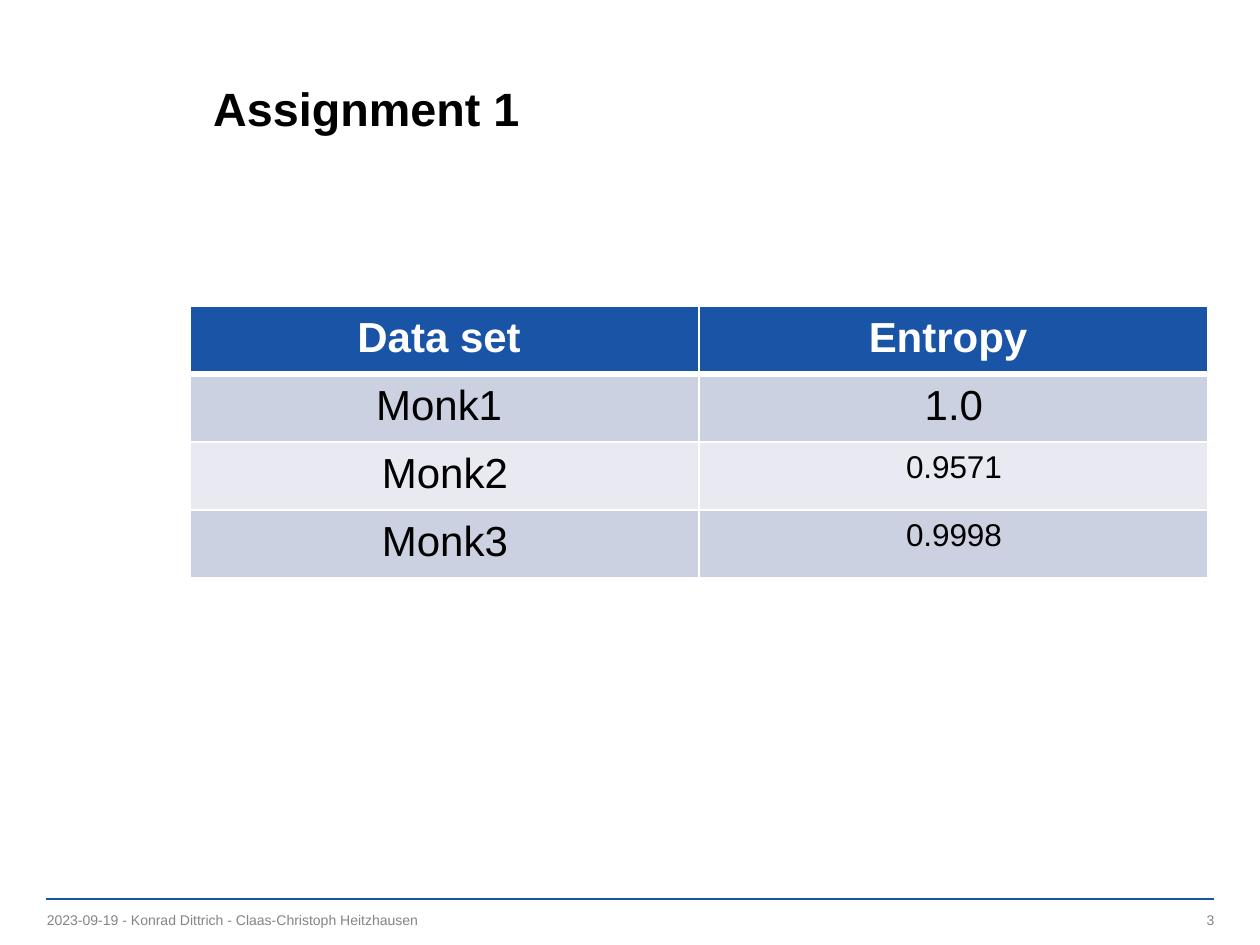
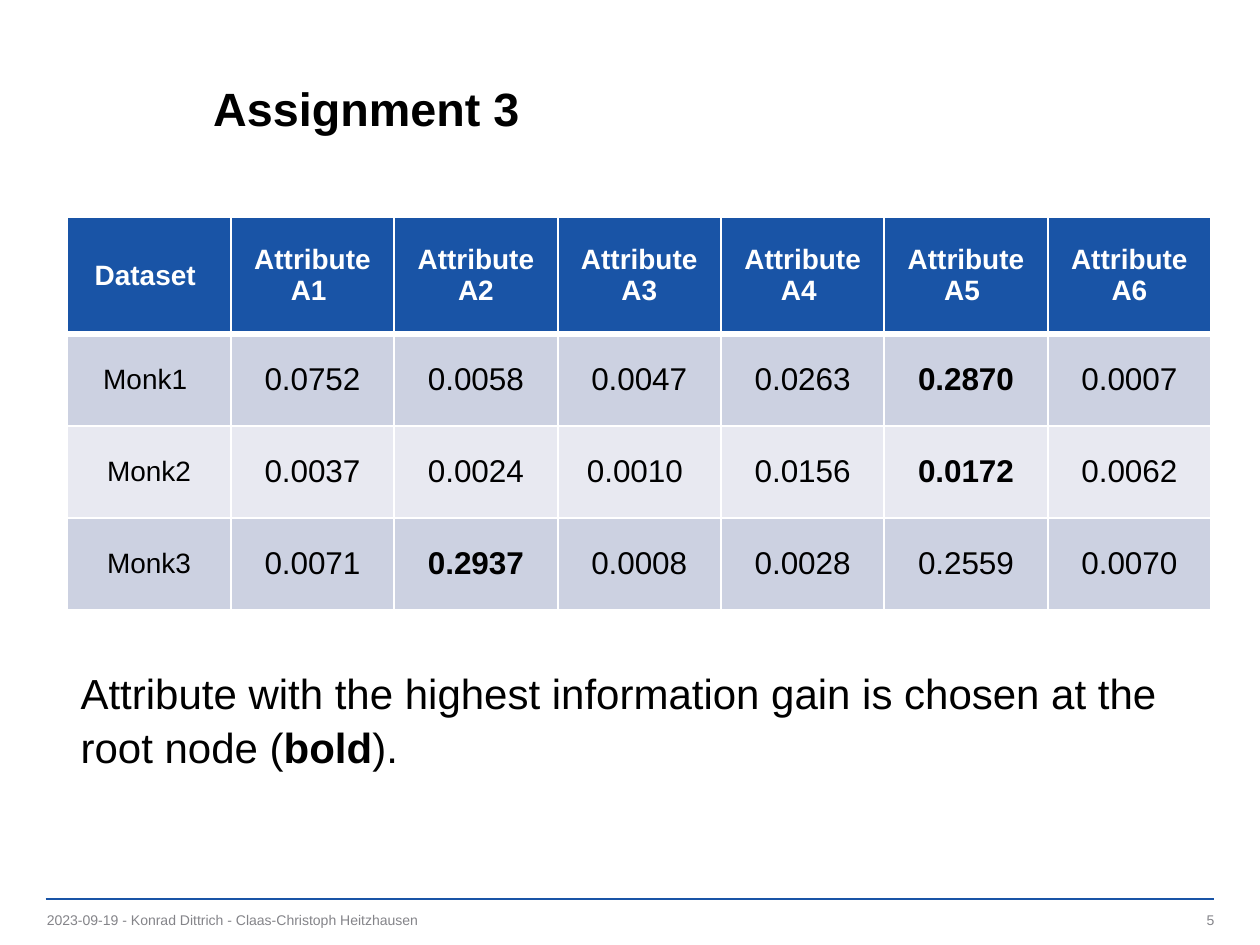
from dataclasses import dataclass

from lxml.etree import SubElement
from pptx import Presentation
from pptx.dml.color import RGBColor
from pptx.enum.shapes import MSO_CONNECTOR
from pptx.enum.text import MSO_ANCHOR, MSO_AUTO_SIZE, PP_ALIGN
from pptx.oxml import parse_xml
from pptx.oxml.ns import nsdecls, qn
from pptx.util import Cm, Pt


@dataclass(frozen=True)
class Theme:
    """Colours, font and type sizes of the deck."""
    font: str = "Arial"
    blue: str = "1954A6"
    black: str = "000000"
    white: str = "FFFFFF"
    grey: str = "848489"
    bands: tuple = ("CCD1E1", "E8E9F1")
    title: float = 20
    body: float = 18
    value: float = 13.5
    label: float = 12
    foot: float = 6


@dataclass(frozen=True)
class Run:
    """A piece of text with one size and weight."""
    text: str
    size: float
    bold: bool = False


THEME = Theme()
FOOTER = "2023-09-19 - Konrad Dittrich - Claas-Christoph Heitzhausen"


def add_runs(para, runs, color, align=PP_ALIGN.LEFT):
    """Fill a paragraph with formatted runs."""
    para.alignment = align
    for item in runs:
        run = para.add_run()
        run.text = item.text
        font = run.font
        font.name, font.size, font.bold = THEME.font, Pt(item.size), item.bold
        font.color.rgb = RGBColor.from_string(color)


def add_text(slide, box, runs, color, align=PP_ALIGN.LEFT):
    """Add a wrapped text box and return its frame."""
    frame = slide.shapes.add_textbox(*map(Cm, box)).text_frame
    frame.word_wrap = True
    add_runs(frame.paragraphs[0], runs, color, align)
    return frame


def add_foot(slide, box, text, align):
    """Add one small footer text without insets."""
    frame = add_text(slide, box, [Run(text, THEME.foot)], THEME.grey, align)
    frame.vertical_anchor = MSO_ANCHOR.MIDDLE
    frame.margin_left = frame.margin_right = 0
    frame.margin_top = frame.margin_bottom = 0


def add_rule(slide):
    """Draw the thin line above the footer."""
    rule = slide.shapes.add_connector(
        MSO_CONNECTOR.STRAIGHT, Cm(0.69), Cm(13.59), Cm(18.36), Cm(13.59))
    rule.line.color.rgb = RGBColor.from_string(THEME.blue)
    rule.line.width = Pt(1)
    SubElement(rule.element.spPr, qn("a:effectLst"))


def add_page(deck, title, number):
    """Add a slide with the shared title, rule and footer."""
    slide = deck.slides.add_slide(deck.slide_layouts[5])
    add_rule(slide)
    head = slide.shapes.title
    head.left, head.top, head.width, head.height = map(
        Cm, (2.97, 0.71, 15.39, 1.88))
    frame = head.text_frame
    frame.auto_size = MSO_AUTO_SIZE.NONE
    frame.vertical_anchor = MSO_ANCHOR.MIDDLE
    para = frame.paragraphs[0]
    para.line_spacing = Pt(22.5)
    add_runs(para, [Run(title, THEME.title, True)], THEME.black)
    add_foot(slide, (0.71, 13.74, 6, 0.33), FOOTER, PP_ALIGN.LEFT)
    add_foot(slide, (14.07, 13.74, 4.29, 0.33), str(number), PP_ALIGN.RIGHT)
    return slide


def set_edges(cell, top, bottom):
    """Give a cell white borders of the stated widths in points."""
    props = cell._tc.get_or_add_tcPr()
    widths = {"lnL": 1, "lnR": 1, "lnT": top, "lnB": bottom}
    for place, (tag, width) in enumerate(widths.items()):
        props.insert(place, parse_xml(
            f'<a:{tag} {nsdecls("a")} w="{Pt(width)}"><a:solidFill>'
            f'<a:srgbClr val="{THEME.white}"/></a:solidFill></a:{tag}>'))


def add_grid(slide, box, rows, heights, anchor):
    """Add a table with a blue header and banded rows of runs."""
    table = slide.shapes.add_table(
        len(rows), len(rows[0]), *map(Cm, box)).table
    for line, height in zip(table.rows, heights):
        line.height = Cm(height)
    for r, row in enumerate(rows):
        fill = THEME.bands[(r - 1) % 2] if r else THEME.blue
        color = THEME.black if r else THEME.white
        for c, run in enumerate(row):
            cell = table.cell(r, c)
            cell.vertical_anchor = anchor
            cell.fill.solid()
            cell.fill.fore_color.rgb = RGBColor.from_string(fill)
            set_edges(cell, 3 if r == 1 else 1, 1 if r else 3)
            add_runs(cell.text_frame.paragraphs[0], [run], color,
                     PP_ALIGN.CENTER)


def add_first(deck):
    """Build the entropy slide."""
    slide = add_page(deck, "Assignment 1", 3)
    big, small = THEME.body, THEME.value
    rows = [
        [Run("Data set ", big, True), Run("Entropy ", big, True)],
        [Run("Monk1 ", big), Run("1.0", big)],
        [Run("Monk2", big), Run("0.9571", small)],
        [Run("Monk3", big), Run("0.9998", small)],
    ]
    add_grid(slide, (2.88, 4.62, 15.39, 4.12), rows, [1.03] * 4,
             MSO_ANCHOR.TOP)


def add_third(deck):
    """Build the information gain slide."""
    slide = add_page(deck, "Assignment 3", 5)
    heads = ["Dataset ", "Attribute A1 ", "Attribute A2", "Attribute A3",
             "Attribute A4 ", "Attribute A5 ", "Attribute A6"]
    gains = {
        "Monk1 ": ["0.0752", "0.0058", "0.0047", "0.0263", "0.2870", "0.0007"],
        "Monk2": ["0.0037", "0.0024", "0.0010 ", "0.0156", "0.0172", "0.0062"],
        "Monk3": ["0.0071", "0.2937", "0.0008", "0.0028", "0.2559", "0.0070"],
    }
    rows = [[Run(head, THEME.label, True) for head in heads]]
    for name, values in gains.items():
        best = max(values, key=float)
        rows.append([Run(name, THEME.label)] + [
            Run(value, THEME.value, value == best) for value in values])
    add_grid(slide, (1.02, 3.28, 17.29, 5.96), rows, [1.77] + [1.39] * 3,
             MSO_ANCHOR.MIDDLE)
    size = THEME.body
    note = [
        Run("Attribute with the highest information gain is chosen at the "
            "root node (", size),
        Run("bold", size, True),
        Run(").", size),
    ]
    frame = add_text(slide, (0.97, 9.93, 17.29, 1.8), note, THEME.black)
    frame.paragraphs[0].line_spacing = 1.06


def main():
    """Build and save the deck."""
    deck = Presentation()
    deck.slide_width, deck.slide_height = Cm(19.05), Cm(14.29)
    add_first(deck)
    add_third(deck)
    deck.save("out.pptx")


main()
